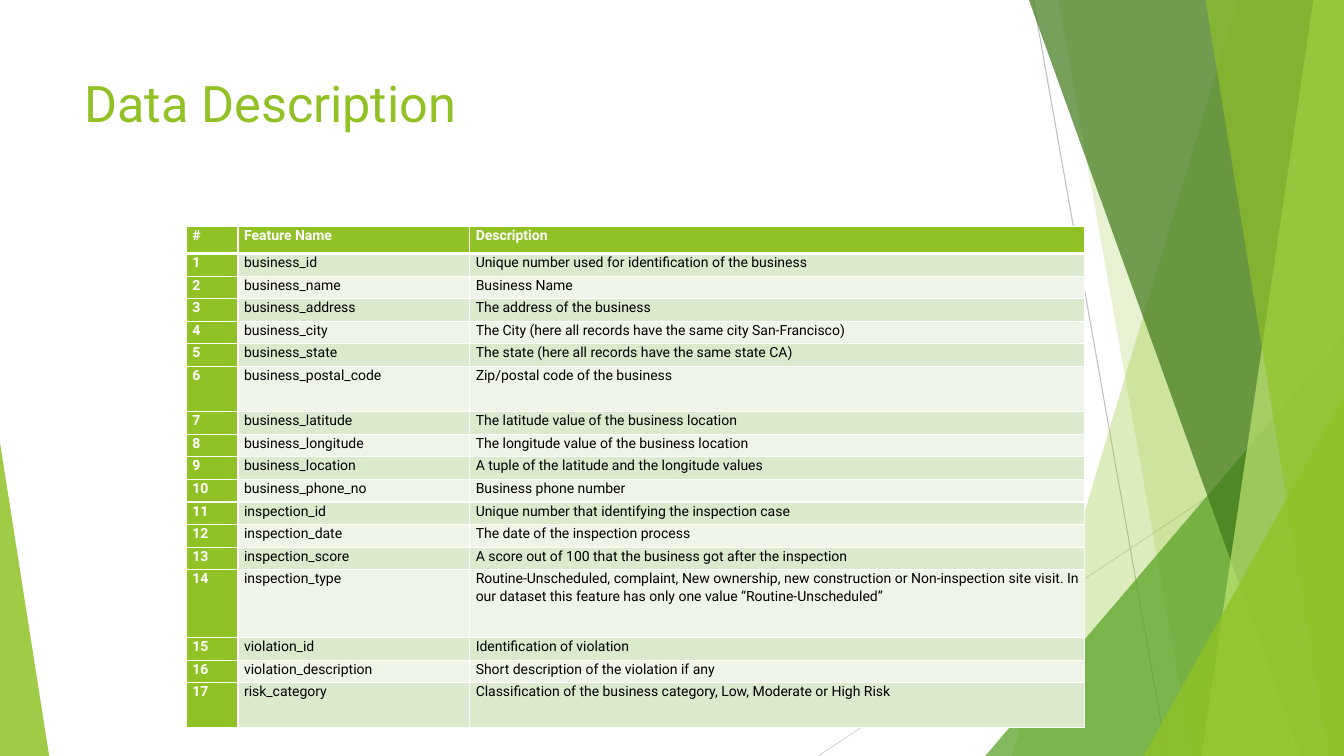
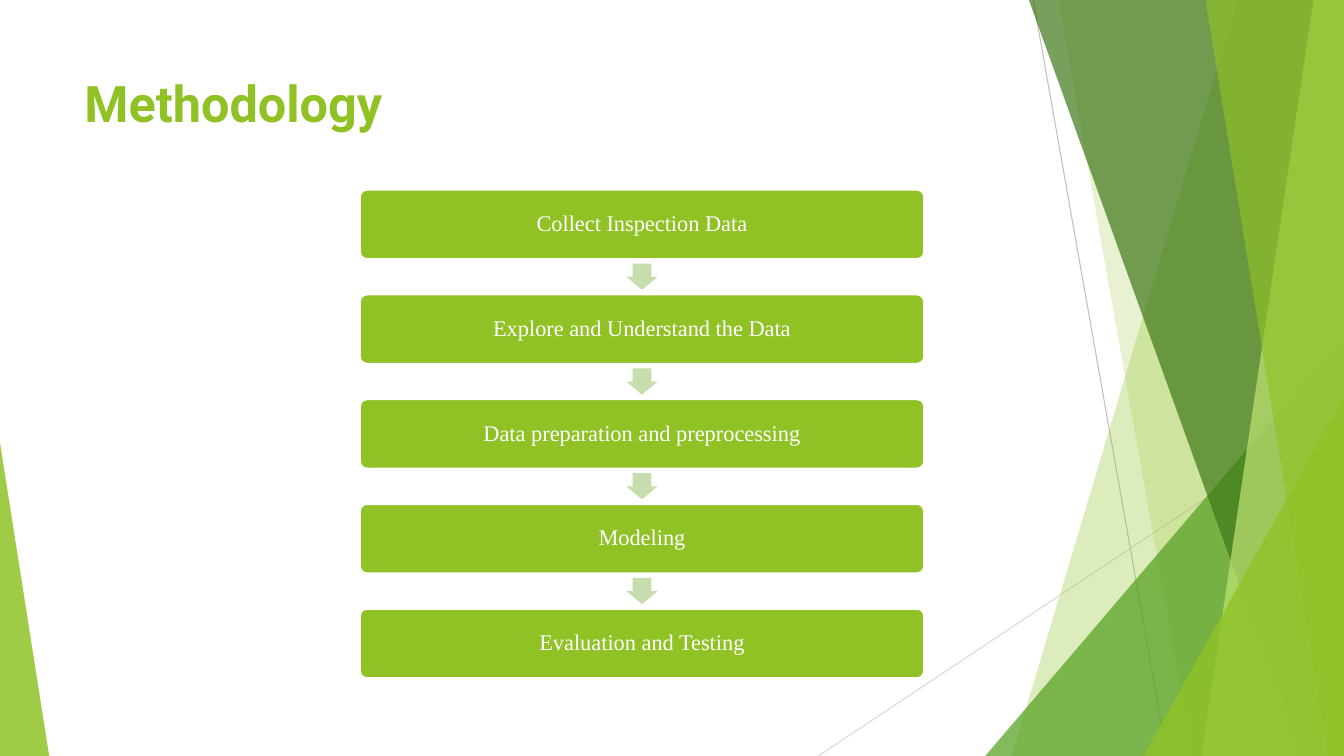
from dataclasses import dataclass

from lxml.etree import SubElement
from pptx import Presentation
from pptx.dml.color import RGBColor
from pptx.enum.shapes import MSO_CONNECTOR, MSO_SHAPE
from pptx.enum.text import MSO_ANCHOR, PP_ALIGN
from pptx.oxml.ns import qn
from pptx.util import Cm, Pt


@dataclass(frozen=True)
class Theme:
    lime: str = "90C226"
    green: str = "54A021"
    forest: str = "3F7819"
    pale_lime: str = "C0E474"
    arrow: str = "C6DDAD"
    odd_row: str = "DBE9CD"
    even_row: str = "EEF4E8"
    steep_line: str = "BFBFBF"
    shallow_line: str = "D9D9D9"
    white: str = "FFFFFF"
    black: str = "000000"
    font: str = "Roboto"
    step_font: str = "Times New Roman"
    title_size: int = 36
    step_size: int = 16
    table_size: int = 10


@dataclass(frozen=True)
class Box:
    """A region of the slide, in centimetres."""
    left: float
    top: float
    width: float
    height: float

    @property
    def right(self):
        return self.left + self.width

    @property
    def bottom(self):
        return self.top + self.height

    def lengths(self):
        return [Cm(v) for v in (self.left, self.top, self.width, self.height)]


THEME = Theme()
PAGE = Box(0, 0, 33.87, 19.05)
TITLE = Box(1.88, 1.7, 23.88, 3.66)
FEATURE_TABLE = Box(4.7, 5.71, 22.63, 12.65)
STEP_FLOW = Box(9.07, 4.78, 14.22, 12.31)

COLUMN_WIDTHS = (1.3, 5.84, 15.49)
HEADER_HEIGHT = 0.68
LINE_HEIGHT = 0.57
HEADINGS = ("#", "Feature Name", "Description")
# Name, description, height in lines
FEATURES = (
    ("business_id", "Unique number used for identification of the business", 1),
    ("business_name", "Business Name", 1),
    ("business_address", "The address of the business", 1),
    ("business_city", "The City (here all records have the same city San-Francisco)", 1),
    ("business_state", "The state (here all records have the same state CA)", 1),
    ("business_postal_code", "Zip/postal code of the business", 2),
    ("business_latitude", "The latitude value of the business location", 1),
    ("business_longitude", "The longitude value of the business location", 1),
    ("business_location", "A tuple of the latitude and the longitude values", 1),
    ("business_phone_no", "Business phone number", 1),
    ("inspection_id", "Unique number that identifying the inspection case", 1),
    ("inspection_date", "The date of the inspection process", 1),
    ("inspection_score", "A score out of 100 that the business got after the inspection", 1),
    ("inspection_type",
     "Routine-Unscheduled, complaint, New ownership, new construction or "
     "Non-inspection site visit. In our dataset this feature has only one "
     "value “Routine-Unscheduled”", 3),
    ("violation_id", "Identification of violation", 1),
    ("violation_description", "Short description of the violation if any", 1),
    ("risk_category", "Classification of the business category, Low, Moderate or High Risk", 2),
)
STEPS = (
    "Collect Inspection Data",
    "Explore and Understand the Data",
    "Data preparation and preprocessing",
    "Modeling",
    "Evaluation and Testing",
)


def write_text(frame, text, size, color, font=THEME.font, bold=False,
               align=PP_ALIGN.LEFT, anchor=MSO_ANCHOR.TOP, spacing=1.0):
    frame.word_wrap = True
    frame.vertical_anchor = anchor
    paragraph = frame.paragraphs[0]
    paragraph.alignment = align
    paragraph.line_spacing = spacing
    run = paragraph.add_run()
    run.text = text
    run.font.name = font
    run.font.size = Pt(size)
    run.font.bold = bold
    run.font.color.rgb = RGBColor.from_string(color)


def paint(shape, color, opacity=100):
    """Give a shape a plain fill, with no outline and no shadow."""
    shape.shadow.inherit = False
    shape.line.fill.background()
    shape.fill.solid()
    shape.fill.fore_color.rgb = RGBColor.from_string(color)
    if opacity < 100:
        tint = shape.fill._xPr.find(".//" + qn("a:srgbClr"))
        SubElement(tint, qn("a:alpha"), val=str(opacity * 1000))


def add_thin_line(slide, start, end, color):
    line = slide.shapes.add_connector(
        MSO_CONNECTOR.STRAIGHT, *(Cm(v) for v in (*start, *end)))
    line.line.width = Pt(0.75)
    line.line.color.rgb = RGBColor.from_string(color)
    SubElement(line._element.spPr, qn("a:effectLst"))


def add_band(slide, box, top_x, bottom_x, color, opacity):
    """Fill the area between a slanted left edge and the right of the box."""
    corners = [(box.left + top_x, box.top), (box.right, box.top),
               (box.right, box.bottom), (box.left + bottom_x, box.bottom)]
    points = [(Cm(x), Cm(y)) for x, y in corners]
    outline = slide.shapes.build_freeform(*points[0])
    outline.add_line_segments(points[1:], close=True)
    paint(outline.convert_to_shape(), color, opacity)


def add_corner(slide, box, width, height, color, opacity, on_right=True):
    """Place a right-angled triangle in a bottom corner of the box."""
    left = box.right - width if on_right else box.left
    place = Box(left, box.bottom - height, width, height)
    corner = slide.shapes.add_shape(MSO_SHAPE.ISOSCELES_TRIANGLE, *place.lengths())
    corner.adjustments[0] = 1 if on_right else 0
    paint(corner, color, opacity)


def add_backdrop(slide, box):
    add_thin_line(slide, (box.left + 26.04, box.top),
                  (box.left + 29.41, box.bottom), THEME.steep_line)
    add_thin_line(slide, (box.right, box.top + 10.24),
                  (box.left + 20.62, box.bottom), THEME.shallow_line)
    add_band(slide, box, 31.19, 25.5, THEME.lime, 30)
    add_band(slide, box, 26.67, 30.05, THEME.lime, 20)
    add_corner(slide, box, 9.04, 10.59, THEME.green, 72)
    add_band(slide, box, 25.93, 32.79, THEME.forest, 70)
    add_band(slide, box, 33.1, 30.28, THEME.pale_lime, 70)
    add_band(slide, box, 30.38, 33.48, THEME.lime, 65)
    add_corner(slide, box, 5.05, 9.07, THEME.lime, 80)
    add_corner(slide, box, 1.24, 7.9, THEME.lime, 85, on_right=False)


def add_title(slide, box, text, bold):
    title = slide.shapes.add_textbox(*box.lengths())
    write_text(title.text_frame, text, THEME.title_size, THEME.lime, bold=bold)


def add_cell_borders(cell, **widths):
    """Draw white borders; widths in points by side, 1 where not given."""
    properties = cell._tc.get_or_add_tcPr()
    for side in "LRTB":
        width = Pt(widths.get(side, 1))
        border = SubElement(properties, qn("a:ln" + side), w=str(width))
        fill = SubElement(border, qn("a:solidFill"))
        SubElement(fill, qn("a:srgbClr"), val=THEME.white)


def fill_cell(cell, text, fill, strong, borders):
    cell.margin_left = cell.margin_right = Cm(0.15)
    cell.margin_top = cell.margin_bottom = Cm(0)
    add_cell_borders(cell, **borders)
    cell.fill.solid()
    cell.fill.fore_color.rgb = RGBColor.from_string(fill)
    write_text(cell.text_frame, text, THEME.table_size,
               THEME.white if strong else THEME.black, bold=strong,
               align=PP_ALIGN.JUSTIFY, spacing=1.07)
    cell.vertical_anchor = MSO_ANCHOR.TOP


def add_feature_table(slide, box):
    rows = [HEADINGS]
    heights = [HEADER_HEIGHT]
    for number, (name, description, lines) in enumerate(FEATURES, 1):
        rows.append((str(number), name, description))
        heights.append(lines * LINE_HEIGHT)
    table = slide.shapes.add_table(
        len(rows), len(COLUMN_WIDTHS), *box.lengths()).table
    table.horz_banding = False
    for column, width in zip(table.columns, COLUMN_WIDTHS):
        column.width = Cm(box.width * width / sum(COLUMN_WIDTHS))
    for r, (texts, height) in enumerate(zip(rows, heights)):
        table.rows[r].height = Cm(box.height * height / sum(heights))
        borders = {0: {"B": 3}, 1: {"T": 3}}.get(r, {})
        row_fill = THEME.odd_row if r % 2 else THEME.even_row
        for c, text in enumerate(texts):
            strong = r == 0 or c == 0
            fill_cell(table.cell(r, c), text,
                      THEME.lime if strong else row_fill, strong, borders)


def add_step(slide, box, text):
    step = slide.shapes.add_shape(MSO_SHAPE.ROUNDED_RECTANGLE, *box.lengths())
    step.adjustments[0] = 0.1
    paint(step, THEME.lime)
    step.line.color.rgb = RGBColor.from_string(THEME.white)
    step.line.width = Pt(1.5)
    write_text(step.text_frame, text, THEME.step_size, THEME.white,
               font=THEME.step_font, align=PP_ALIGN.CENTER,
               anchor=MSO_ANCHOR.MIDDLE, spacing=0.9)


def add_step_arrow(slide, box):
    arrow = slide.shapes.add_shape(MSO_SHAPE.DOWN_ARROW, *box.lengths())
    arrow.adjustments[0] = 0.6
    arrow.adjustments[1] = 0.5
    paint(arrow, THEME.arrow)


def add_step_flow(slide, box, step_height=1.75, arrow_width=0.79, arrow_height=0.66):
    gap = (box.height - len(STEPS) * step_height) / (len(STEPS) - 1)
    for i, text in enumerate(STEPS):
        top = box.top + i * (step_height + gap)
        if i:
            add_step_arrow(slide, Box(box.left + (box.width - arrow_width) / 2,
                                      top - (gap + arrow_height) / 2,
                                      arrow_width, arrow_height))
        add_step(slide, Box(box.left, top, box.width, step_height), text)


def add_page(deck, title, bold=False):
    slide = deck.slides.add_slide(deck.slide_layouts[6])
    add_backdrop(slide, PAGE)
    add_title(slide, TITLE, title, bold)
    return slide


def main():
    deck = Presentation()
    deck.slide_width, deck.slide_height = Cm(PAGE.width), Cm(PAGE.height)
    add_feature_table(add_page(deck, "Data Description"), FEATURE_TABLE)
    add_step_flow(add_page(deck, "Methodology", bold=True), STEP_FLOW)
    deck.save("out.pptx")


if __name__ == "__main__":
    main()
